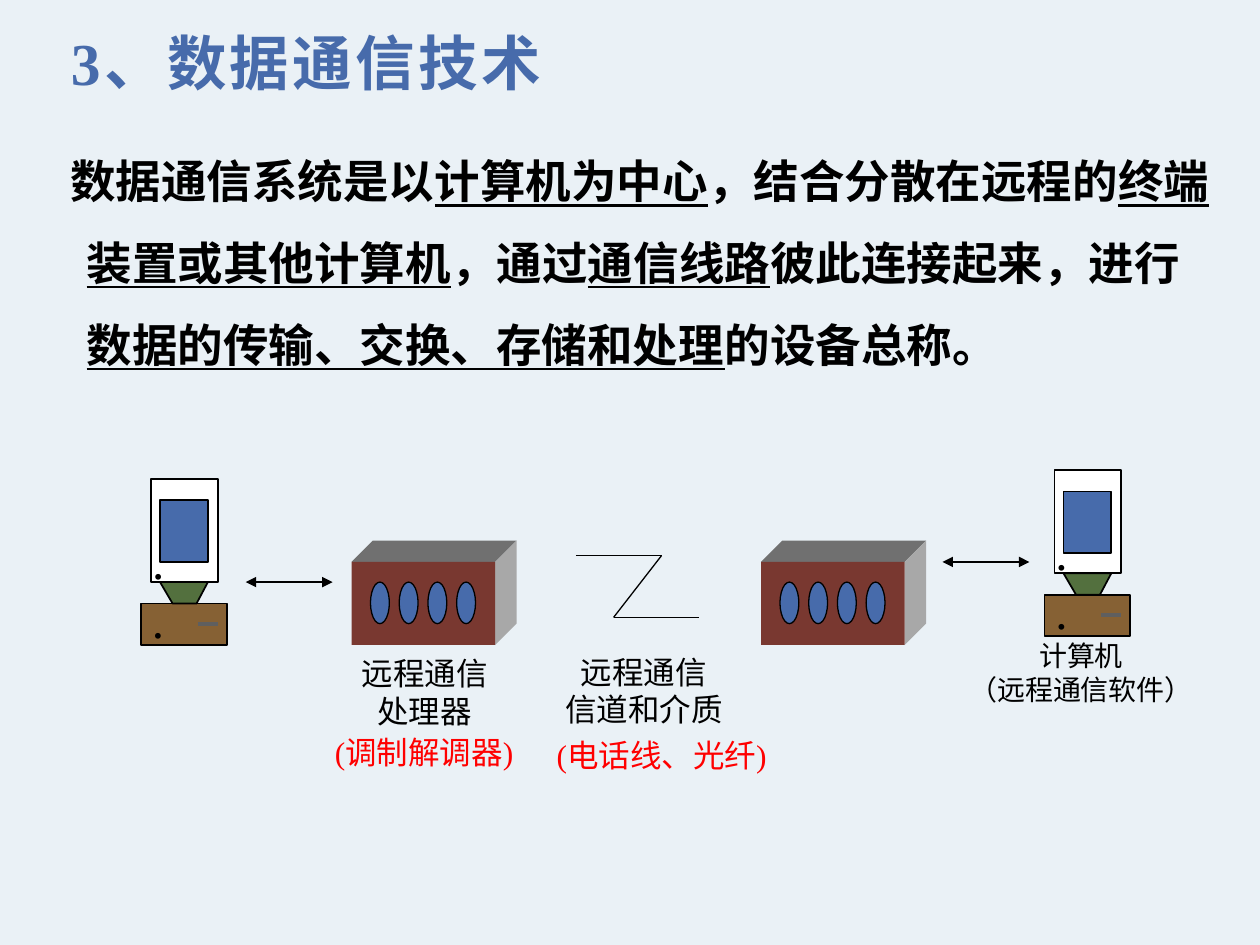
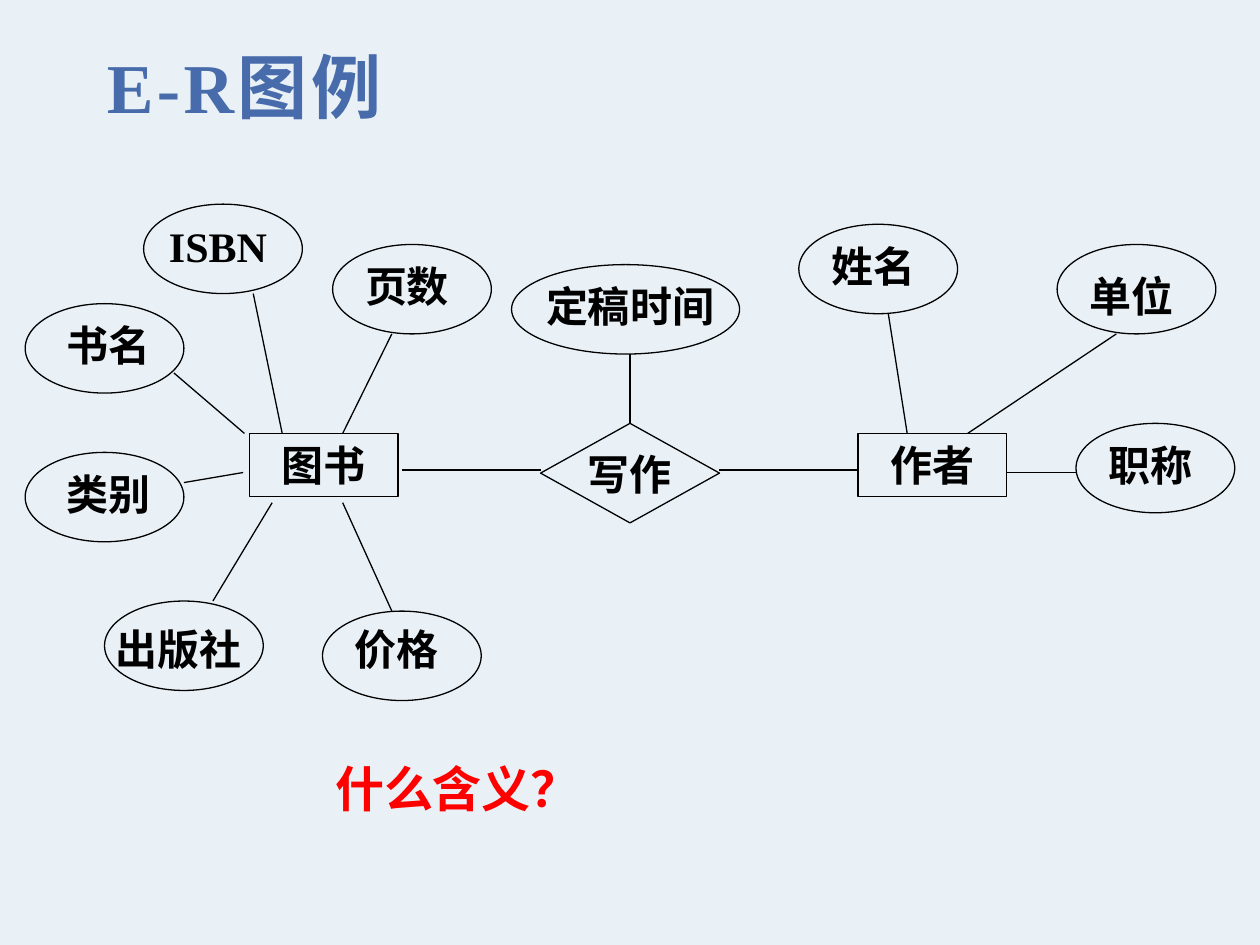
"""Build two slides on data communication and an E-R diagram."""
from lxml import etree
from pptx import Presentation
from pptx.dml.color import RGBColor
from pptx.enum.shapes import MSO_CONNECTOR, MSO_SHAPE as Shape
from pptx.enum.text import MSO_ANCHOR as Anchor, MSO_AUTO_SIZE as AutoSize, PP_ALIGN as Align
from pptx.oxml.ns import qn
from pptx.util import Inches, Pt

COLORS = {
    "background": "EAF1F6", "blue": "476BAB", "ink": "000000", "red": "FF0000",
    "white": "FFFFFF", "wood": "866134", "green": "53703E", "slot": "5F5F5F",
    "front": "793830", "top": "707070", "side": "A8A8A8",
}
FONT = "Times New Roman"


def rgb(name):
    return RGBColor.from_string(COLORS[name])


def write_text(frame, text, size=24, color="ink", bold=False, align=Align.CENTER,
               tracking=0, line_spacing=None, hanging=None):
    """Fill a frame line by line; parts between underscores are underlined."""
    for number, line in enumerate(text.split("\n")):
        paragraph = frame.add_paragraph() if number else frame.paragraphs[0]
        paragraph.alignment = align
        if line_spacing:
            paragraph.line_spacing = line_spacing
        if hanging:
            margin, indent = hanging
            properties = paragraph._p.get_or_add_pPr()
            properties.set("marL", str(Inches(margin)))
            properties.set("indent", str(Inches(indent)))
        for position, part in enumerate(line.split("_")):
            run = paragraph.add_run()
            run.text = part
            font = run.font
            font.name, font.size, font.bold = FONT, Pt(size), bold
            font.color.rgb = rgb(color)
            if position % 2:
                font.underline = True
            if tracking:
                run._r.get_or_add_rPr().set("spc", str(tracking * 100))


class Deck:
    """Hold the shared style and the slide being drawn."""

    def __init__(self):
        self.presentation = Presentation()
        self.presentation.slide_width = Inches(10)
        self.presentation.slide_height = Inches(7.5)
        self.slide = None

    def new_slide(self):
        self.slide = self.presentation.slides.add_slide(self.presentation.slide_layouts[6])
        backdrop = self.slide.background.fill
        backdrop.solid()
        backdrop.fore_color.rgb = rgb("background")

    def label(self, text, left, top, width, height, wrap=True, side_inset=0.1,
              grow=True, anchor=Anchor.TOP, **style):
        box = self.slide.shapes.add_textbox(*map(Inches, (left, top, width, height)))
        frame = box.text_frame
        frame.word_wrap = wrap
        frame.margin_left = frame.margin_right = Inches(side_inset)
        frame.vertical_anchor = anchor
        frame.auto_size = AutoSize.SHAPE_TO_FIT_TEXT if grow else AutoSize.NONE
        write_text(frame, text, **style)

    def title(self, text, left, top, width, height, **style):
        self.label(text, left, top, width, height, grow=False, anchor=Anchor.MIDDLE,
                   color="blue", bold=True, tracking=2, **style)

    def paint(self, shape, fill, weight):
        shape.shadow.inherit = False
        if fill:
            shape.fill.solid()
            shape.fill.fore_color.rgb = rgb(fill)
        else:
            shape.fill.background()
        if weight:
            shape.line.color.rgb = rgb("ink")
            shape.line.width = Pt(weight)
        else:
            shape.line.fill.background()
        return shape

    def shape(self, kind, left, top, width, height, fill=None, weight=0.75):
        drawn = self.slide.shapes.add_shape(kind, *map(Inches, (left, top, width, height)))
        return self.paint(drawn, fill, weight)

    def outline(self, points, fill, weight=0):
        start, *rest = [(Inches(x), Inches(y)) for x, y in points]
        builder = self.slide.shapes.build_freeform(*start)
        builder.add_line_segments(rest, close=True)
        self.paint(builder.convert_to_shape(), fill, weight)

    def line(self, start, end, color="ink", weight=0.75, arrows=False):
        link = self.slide.shapes.add_connector(
            MSO_CONNECTOR.STRAIGHT, *map(Inches, (*start, *end)))
        link.line.color.rgb = rgb(color)
        link.line.width = Pt(weight)
        if arrows:
            stroke = link.line._get_or_add_ln()
            for tip in ("a:headEnd", "a:tailEnd"):
                etree.SubElement(stroke, qn(tip), type="triangle")
        etree.SubElement(link._element.spPr, qn("a:effectLst"))

    def computer(self, x, y):
        self.shape(Shape.RECTANGLE, x + 0.08, y, 0.53, 0.82, "white", 1)
        self.shape(Shape.RECTANGLE, x + 0.15, y + 0.17, 0.38, 0.49, "blue", 1)
        self.shape(Shape.RECTANGLE, x, y + 0.99, 0.68, 0.33, "wood", 1)
        self.outline([(x + 0.15, y + 0.82), (x + 0.25, y + 0.99),
                      (x + 0.44, y + 0.99), (x + 0.53, y + 0.82)], "green", 1)
        self.line((x + 0.45, y + 1.15), (x + 0.61, y + 1.15), "slot", 2.25)
        self.label("..", x - 0.06, y + 0.36, 0.39, 0.57, wrap=False, size=28)

    def processor(self, x, y, width=1.14, height=0.66, depth=0.17):
        right, bottom = x + width, y + height
        back = (right + depth, y - depth)
        self.outline([(x, y), (x + depth, y - depth), back, (right, y)], "top")
        self.outline([(right, y), back, (right + depth, bottom - depth),
                      (right, bottom)], "side")
        self.shape(Shape.RECTANGLE, x, y, width, height, "front", 0)
        for port in range(4):
            self.shape(Shape.OVAL, x + 0.15 + port * 0.228, y + 0.16, 0.15, 0.33, "blue")

    def entity(self, name, left, top):
        frame = self.shape(Shape.RECTANGLE, left, top, 1.18, 0.5).text_frame
        frame.word_wrap = True
        frame.vertical_anchor = Anchor.TOP
        frame.auto_size = AutoSize.SHAPE_TO_FIT_TEXT
        write_text(frame, name, bold=True)

    def attribute(self, name, left, top, shift=0, drop=0.08, width=1.26, text_width=1.18):
        self.shape(Shape.OVAL, left, top, width, 0.71)
        self.label(name, left + shift, top + drop, text_width, 0.5, side_inset=0, bold=True)


def draw_communication(deck):
    deck.new_slide()
    deck.title("3、数据通信技术", 0.18, 0.07, 4.5, 0.84, size=34)
    deck.label("数据通信系统是以_计算机为中心_，结合分散在远程的_终端装置或其他计算机_，"
               "通过_通信线路_彼此连接起来，进行_数据的传输、交换、存储和处理_的设备总称。",
               0.21, 0.95, 9.49, 1.76, grow=False, size=26, bold=True,
               align=Align.LEFT, line_spacing=1.5, hanging=(0.38, -0.13))
    deck.label("计算机\n（远程通信软件）", 7.59, 5.02, 1.98, 0.64, wrap=False, size=16)
    for x, y in ((1.12, 3.8), (8.29, 3.73)):
        deck.computer(x, y)
    for x in (2.79, 6.04):
        deck.processor(x, 4.46)
    for x, y in ((1.95, 4.62), (7.48, 4.46)):
        deck.line((x, y), (x + 0.69, y), arrows=True)
    channel = [(4.57, 4.41), (5.25, 4.41), (4.87, 4.9), (5.55, 4.9)]
    for start, end in zip(channel, channel[1:]):
        deck.line(start, end)
    deck.label("远程通信\n处理器", 2.77, 5.14, 1.2, 0.71, wrap=False, size=18)
    deck.label("远程通信\n信道和介质", 4.38, 5.13, 1.46, 0.71, wrap=False, size=18)
    for example, left, top, width in (("(调制解调器)", 2.56, 5.77, 2.21),
                                      ("(电话线、光纤)", 4.32, 5.79, 2.81)):
        deck.label(example, left, top, width, 0.4, size=18, color="red", align=Align.LEFT)


def draw_entities(deck):
    deck.new_slide()
    deck.title("E-R图例", 0.75, 0.36, 8.5, 0.64, size=40, align=Align.LEFT)
    deck.entity("图书", 1.98, 3.44)
    deck.entity("作者", 6.81, 3.44)
    deck.shape(Shape.FLOWCHART_DECISION, 4.29, 3.36, 1.42, 0.79)
    deck.label("写作", 4.53, 3.51, 0.94, 0.5, bold=True)
    deck.attribute("定稿时间", 4.06, 2.1, shift=0.23, width=1.81, text_width=1.42)
    deck.attribute("书名", 0.2, 2.41, shift=0.07)
    deck.attribute("ISBN", 1.14, 1.62)
    deck.attribute("页数", 2.64, 1.94)
    deck.attribute("类别", 0.2, 3.59, shift=0.07)
    deck.attribute("出版社", 0.83, 4.77, drop=0.13)
    deck.attribute("价格", 2.56, 4.85, drop=0.05)
    deck.attribute("单位", 8.39, 1.94, drop=0.16)
    deck.attribute("姓名", 6.34, 1.78)
    deck.attribute("职称", 8.54, 3.36)
    links = [
        ((3.19, 3.73), (4.29, 3.73)), ((5.71, 3.73), (6.81, 3.73)),
        ((1.38, 2.96), (1.94, 3.44)), ((2.01, 2.33), (2.24, 3.44)),
        ((3.11, 2.65), (2.72, 3.44)), ((1.93, 3.75), (1.46, 3.83)),
        ((2.16, 3.99), (1.69, 4.77)), ((2.72, 3.99), (3.11, 4.85)),
        ((5, 3.36), (5, 2.81)), ((7.2, 3.44), (7.05, 2.49)),
        ((7.68, 3.44), (8.86, 2.65)), ((7.99, 3.75), (8.54, 3.75)),
    ]
    for start, end in links:
        deck.line(start, end)
    deck.label("什么含义？", 1.42, 5.97, 4.42, 0.57, size=28, color="red", bold=True)


def main():
    deck = Deck()
    draw_communication(deck)
    draw_entities(deck)
    deck.presentation.save("out.pptx")


if __name__ == "__main__":
    main()
